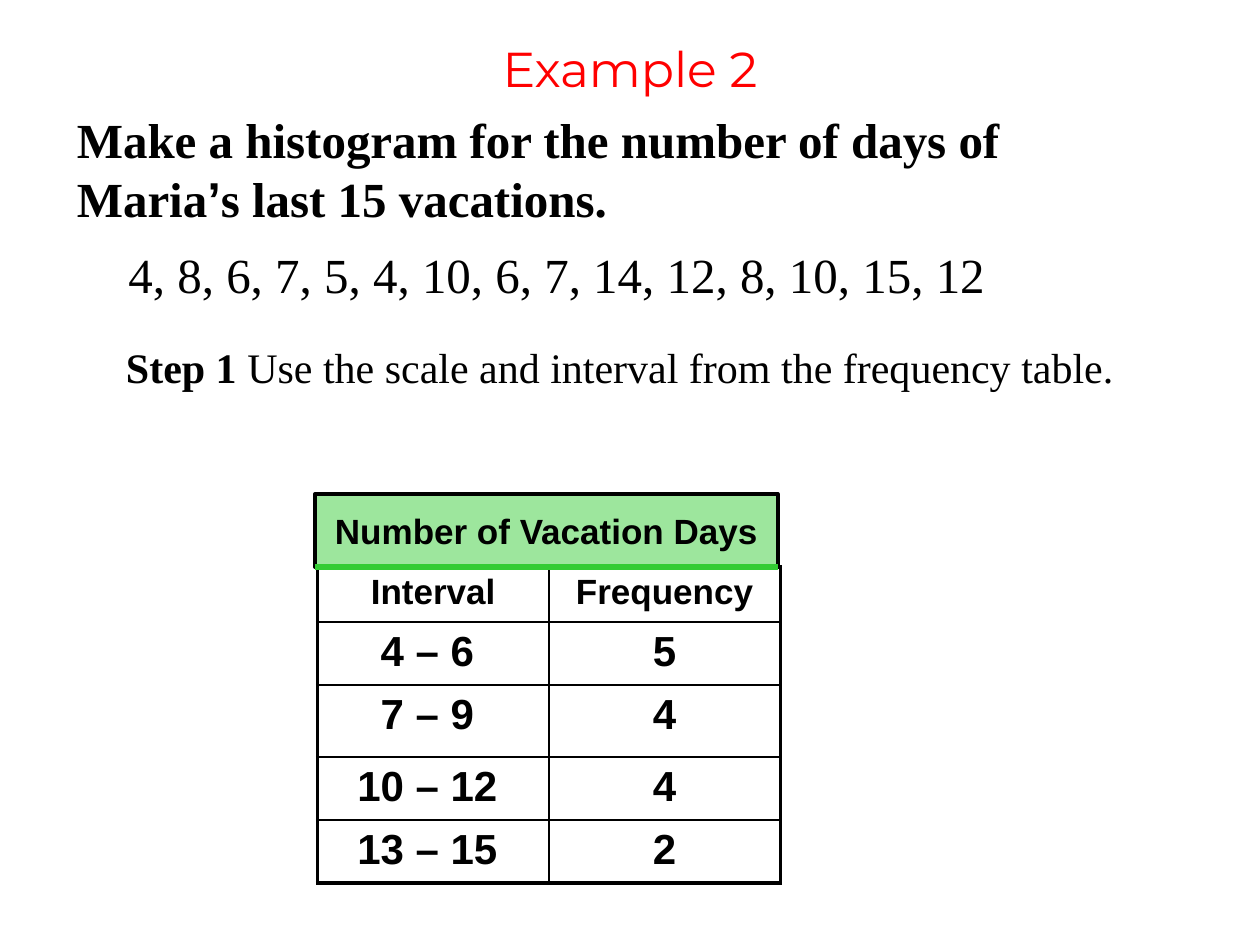
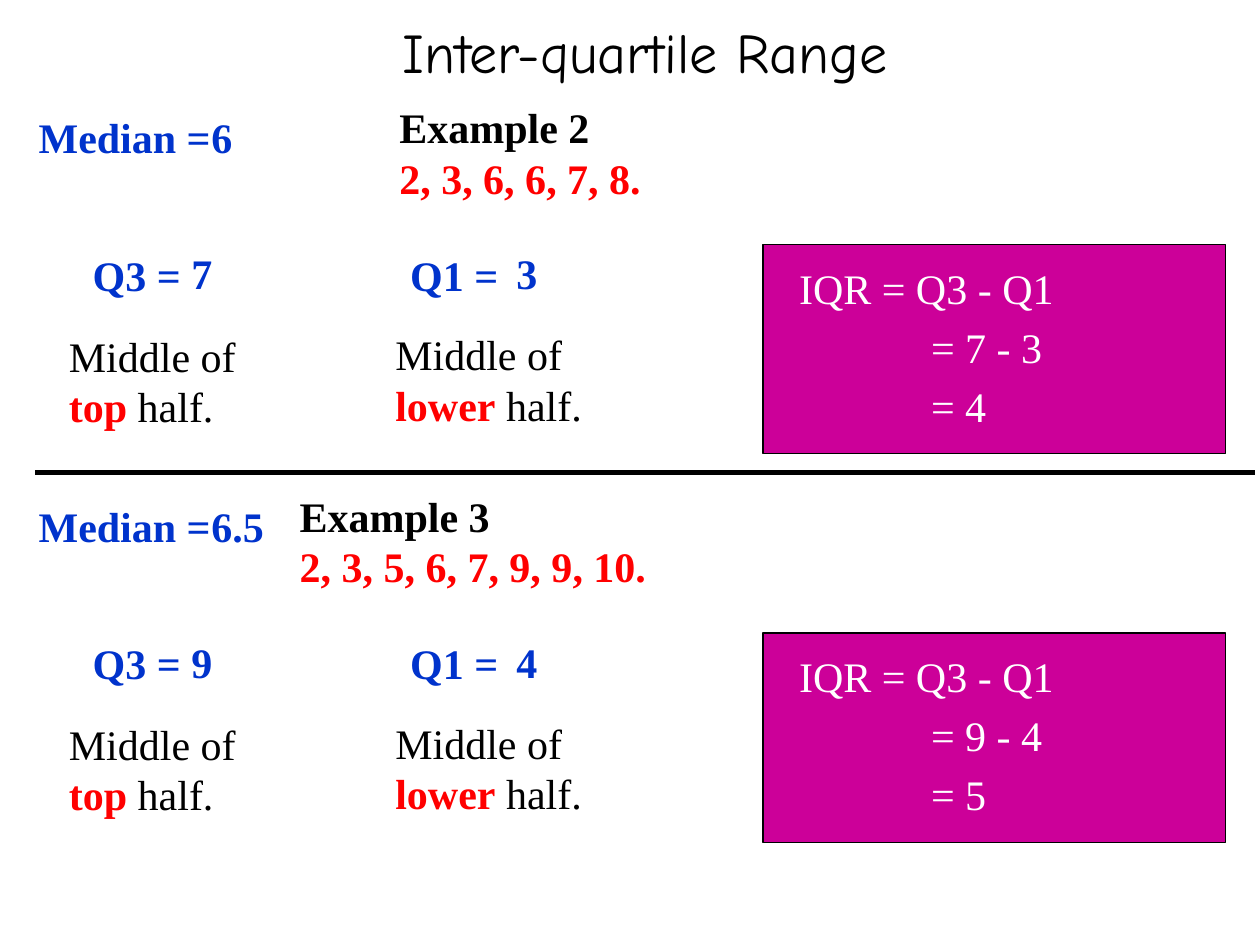
from lxml.etree import SubElement
from pptx import Presentation
from pptx.dml.color import RGBColor
from pptx.enum.shapes import MSO_CONNECTOR, MSO_SHAPE
from pptx.enum.text import MSO_ANCHOR, MSO_AUTO_SIZE, PP_ALIGN
from pptx.oxml.ns import qn
from pptx.util import Cm, Pt

COLORS = {
    "black": "000000",
    "white": "FFFFFF",
    "red": "FF0000",
    "blue": "0033CC",
    "green": "33CC33",
    "magenta": "CC0099",
}
SERIF, SANS = "Times New Roman", "Arial"
THICK, THIN = 2.25, 1


def rgb(name):
    return RGBColor.from_string(COLORS[name])


def cm_box(*lengths):
    return [Cm(n) for n in lengths]


def set_font(font, name, size, color="black", bold=False):
    font.name, font.size, font.bold = name, Pt(size), bold
    font.color.rgb = rgb(color)


def add_title(prs, box, text, name, size, color):
    """Add a title-only slide and format its title."""
    s = prs.slides.add_slide(prs.slide_layouts[5])
    sp = s.shapes.title
    sp.left, sp.top, sp.width, sp.height = cm_box(*box)
    tf = sp.text_frame
    tf.text = text
    tf.auto_size = MSO_AUTO_SIZE.NONE
    tf.vertical_anchor = MSO_ANCHOR.MIDDLE
    p = tf.paragraphs[0]
    p.alignment = PP_ALIGN.CENTER
    set_font(p.font, name, size, color)
    return s


def add_text(s, box, *lines, size=24, color="black", bold=False):
    """Add a text box; a line is a list of (text, font overrides) runs."""
    tf = s.shapes.add_textbox(*cm_box(*box)).text_frame
    tf.word_wrap = True
    for i, line in enumerate(lines):
        p = tf.add_paragraph() if i else tf.paragraphs[0]
        set_font(p.font, SERIF, size, color, bold)
        for text, changes in line:
            r = p.add_run()
            r.text = text
            if "name" in changes:
                r.font.name = changes["name"]
            if "bold" in changes:
                r.font.bold = changes["bold"]
            if "color" in changes:
                r.font.color.rgb = rgb(changes["color"])


def add_rect(s, box, fill, line_width):
    sp = s.shapes.add_shape(MSO_SHAPE.RECTANGLE, *cm_box(*box))
    sp.shadow.inherit = False
    sp.fill.solid()
    sp.fill.fore_color.rgb = rgb(fill)
    sp.line.color.rgb = rgb("black")
    sp.line.width = Pt(line_width)
    return sp


def add_rule(s, left, top, width, color):
    line = s.shapes.add_connector(
        MSO_CONNECTOR.STRAIGHT, *cm_box(left, top, left + width, top))
    line.line.color.rgb = rgb(color)
    line.line.width = Pt(3)
    SubElement(line._element.spPr, qn("a:effectLst"))


def set_borders(cell, widths):
    """Draw black cell borders, given a width in points for each side."""
    tcPr = cell._tc.get_or_add_tcPr()
    for i, (side, width) in enumerate(widths.items()):
        ln = tcPr.makeelement(qn(f"a:ln{side}"), {"w": str(Pt(width))})
        fill = SubElement(ln, qn("a:solidFill"))
        SubElement(fill, qn("a:srgbClr"), val=COLORS["black"])
        tcPr.insert(i, ln)


def frequency_table(s, left, top, width):
    """Green caption above a two-column table of intervals."""
    rows = [("Interval", "Frequency"), ("4 – 6 ", "5"), ("7 – 9 ", "4"),
            ("10 – 12 ", "4"), ("13 – 15 ", "2")]
    heights = [1.11, 1.27, 1.45, 1.27, 1.27]
    caption_height = 1.47
    table_top = top + caption_height

    # Table
    table = s.shapes.add_table(
        len(rows), 2, *cm_box(left + 0.05, table_top, width, sum(heights))).table
    table.first_row = table.horz_banding = False
    last = len(rows) - 1
    for i, (row, height) in enumerate(zip(rows, heights)):
        table.rows[i].height = Cm(height)
        for j, text in enumerate(row):
            cell = table.cell(i, j)
            cell.text = text
            cell.fill.background()
            p = cell.text_frame.paragraphs[0]
            p.alignment = PP_ALIGN.CENTER
            set_font(p.font, SANS, 24 if i else 20, bold=True)
            set_borders(cell, {
                "L": THIN if j else THICK,
                "R": THICK if j else THIN,
                "T": THIN if i else THICK,
                "B": THICK if i == last else THIN,
            })

    # Caption, half transparent, with a green rule under it
    sp = add_rect(s, (left, top, width, caption_height), "green", THICK)
    color = sp.fill._xPr.find(qn("a:solidFill"))[0]
    SubElement(color, qn("a:alpha"), val="48000")
    tf = sp.text_frame
    tf.text = "Number of Vacation Days"
    tf.word_wrap = False
    tf.vertical_anchor = MSO_ANCHOR.MIDDLE
    p = tf.paragraphs[0]
    p.alignment = PP_ALIGN.CENTER
    set_font(p.font, SANS, 20, bold=True)
    add_rule(s, left, table_top, width, "green")


def histogram_slide(prs):
    s = add_title(prs, (0, 0.64, 25.4, 1.45), "Example 2",
                  "Montserrat", 28, "red")
    add_text(s, (1.3, 2.08, 22.38, 2.64),
             [("Make a histogram for the number of days of Maria", {}),
              ("’", {"name": SANS}),
              ("s last 15 vacations.", {})], size=28, bold=True)
    add_text(s, (2.34, 4.8, 18.5, 1.45),
             [("4, 8, 6, 7, 5, 4, 10, 6, 7, 14, 12, 8, 10, 15, 12", {})],
             size=28)
    add_text(s, (2.29, 6.76, 22.91, 1.27),
             [("Step 1 ", {"bold": True}),
              ("Use the scale and interval from the frequency table.", {})])
    frequency_table(s, 6.35, 9.96, 9.33)


def iqr_box(s, left, top, q3, q1):
    """Magenta box that works out the inter-quartile range."""
    add_rect(s, (left, top, 9.32, 4.22), "magenta", 0.75)
    steps = [(0.48, 8.4, "IQR = Q3 - Q1"),
             (3.14, 4, f"= {q3} - {q1}"),
             (3.14, 2.1, f"= {q3 - q1}")]
    for i, (dx, width, text) in enumerate(steps):
        add_text(s, (left + dx, top + 0.23 + 1.19 * i, width, 1.6),
                 [(text, {})], color="white")


def quartile_example(s, top, number, data, data_left, median, q3, q1):
    """One worked example: data, median, quartiles and range."""
    add_text(s, (data_left, top, 12, 2.97),
             [(f"Example {number}", {})],
             [(data, {"color": "red"})], bold=True)

    # Labels and their values
    for left, dy, width, text in [
            (0.53, 0.2, 5.51, "Median ="), (4.01, 0.2, 2.39, median),
            (1.62, 2.97, 3.35, "Q3 ="), (3.61, 2.94, 1.19, str(q3)),
            (8.02, 2.97, 3.35, "Q1 ="), (10.16, 2.94, 1.19, str(q1))]:
        add_text(s, (left, top + dy, width, 1.6), [(text, {})],
                 color="blue", bold=True)

    # Where each quartile lies
    for left, dy, half in [(1.14, 4.6, "top"), (7.72, 4.57, "lower")]:
        add_text(s, (left, top + dy, 6, 2.97), [("Middle of", {})],
                 [(half, {"color": "red", "bold": True}), (" half.", {})])

    iqr_box(s, 15.38, top + 3, q3, q1)


def quartile_slide(prs):
    s = add_title(prs, (0.3, 0.33, 25.4, 1.4), "Inter-quartile Range",
                  "Comic Neue", 32, "black")
    quartile_example(s, 1.93, 2, "2, 3, 6, 6, 7, 8.", 7.8, "6", 7, 3)
    add_rule(s, 0.71, 9.52, 24.59, "black")
    quartile_example(s, 9.76, 3, "2, 3, 5, 6, 7, 9, 9, 10.", 5.79,
                     "6.5", 9, 4)


def main():
    prs = Presentation()
    prs.slide_width, prs.slide_height = Cm(25.4), Cm(19.05)
    histogram_slide(prs)
    quartile_slide(prs)
    prs.save("out.pptx")


if __name__ == "__main__":
    main()
